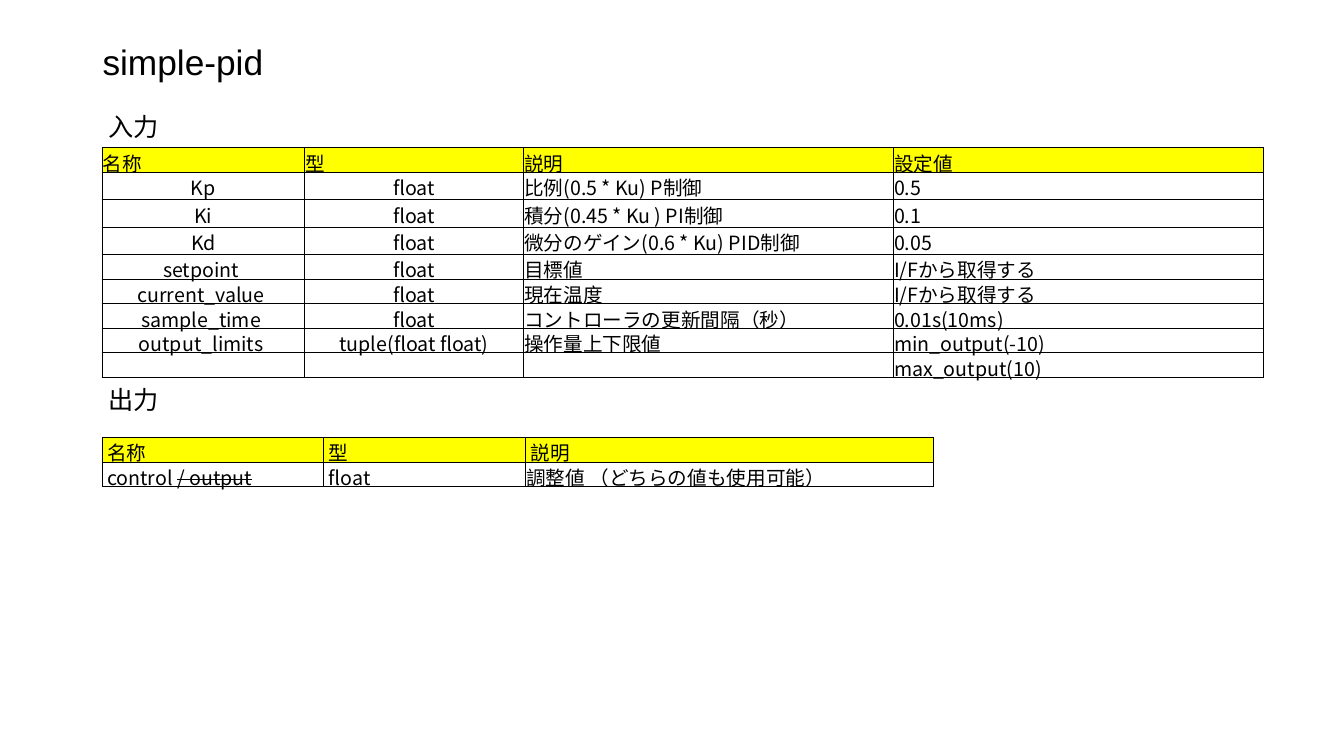
from dataclasses import dataclass

from lxml.etree import SubElement
from pptx import Presentation
from pptx.dml.color import RGBColor
from pptx.enum.text import MSO_ANCHOR as Anchor, MSO_AUTO_SIZE as AutoSize, PP_ALIGN as Align
from pptx.oxml.ns import qn
from pptx.util import Cm, Pt


@dataclass(frozen=True)
class Theme:
    ink: RGBColor = RGBColor(0, 0, 0)
    header: RGBColor = RGBColor(0xFF, 0xFF, 0)
    title_size: Pt = Pt(25.2)
    heading_size: Pt = Pt(18)
    table_size: Pt = Pt(14)
    border: Pt = Pt(0.5)
    title_font: str = "Arial"
    heading_font: str = "Lato"
    table_font: str = "Noto Sans CJK JP"


theme = Theme()


def style(paragraph, name, size):
    paragraph.font.name = name
    paragraph.font.size = size
    paragraph.font.color.rgb = theme.ink


def add_borders(cell):
    properties = cell._tc.get_or_add_tcPr()
    for position, side in enumerate(("lnL", "lnR", "lnT", "lnB")):
        line = properties.makeelement(qn(f"a:{side}"), {"w": str(theme.border)})
        fill = SubElement(line, qn("a:solidFill"))
        SubElement(fill, qn("a:srgbClr"), val=str(theme.ink))
        properties.insert(position, line)


presentation = Presentation()
presentation.slide_width, presentation.slide_height = Cm(33.87), Cm(19.05)
slide = presentation.slides.add_slide(presentation.slide_layouts[5])

title = slide.shapes.title
title.left, title.top, title.width, title.height = Cm(2.33), Cm(1.02), Cm(29.21), Cm(1.19)
title.text_frame.text = "simple-pid"
title.text_frame.vertical_anchor = Anchor.MIDDLE
title.text_frame.auto_size = AutoSize.NONE
title_paragraph = title.text_frame.paragraphs[0]
title_paragraph.alignment = Align.LEFT
title_paragraph.line_spacing = 0.9
style(title_paragraph, theme.title_font, theme.title_size)

input_rows = [
    ("名称", "型", "説明", "設定値"),
    ("Kp", "float", "比例(0.5 * Ku) P制御", "0.5"),
    ("Ki", "float", "積分(0.45 * Ku ) PI制御", "0.1"),
    ("Kd", "float", "微分のゲイン(0.6 * Ku) PID制御", "0.05"),
    ("setpoint ", "float", "目標値", "I/Fから取得する"),
    ("current_value ", "float", "現在温度", "I/Fから取得する"),
    ("sample_time ", "float", "コントローラの更新間隔（秒）", "0.01s(10ms)"),
    ("output_limits ", "tuple(float float)", "操作量上下限値", "min_output(-10)"),
    ("", "", "", "max_output(10)"),
]
output_rows = [
    (" 名称", " 型", " 説明"),
    (" control ", " float", "調整値 （どちらの値も使用可能）"),
]
# heading, heading top, table top, column widths, row heights, centred columns, rows
sections = [
    ("入力", 2.69, 3.72, (5.11, 5.51, 9.32, 9.32),
     (0.62, 0.69, 0.69, 0.69, 0.62, 0.62, 0.62, 0.62, 0.62), 2, input_rows),
    ("出力", 9.55, 11.02, (5.59, 5.08, 10.29), (0.62, 0.62), 0, output_rows),
]

for heading, heading_top, table_top, widths, heights, centred, rows in sections:
    box = slide.shapes.add_textbox(Cm(2.49), Cm(heading_top), Cm(1.8), Cm(1.02))
    box.text_frame.word_wrap = False
    box.text_frame.auto_size = AutoSize.SHAPE_TO_FIT_TEXT
    box.text_frame.text = heading
    style(box.text_frame.paragraphs[0], theme.heading_font, theme.heading_size)

    table = slide.shapes.add_table(len(rows), len(widths), Cm(2.57), Cm(table_top),
                                   Cm(sum(widths)), Cm(sum(heights))).table
    table.first_row = table.horz_banding = False
    for column, width in zip(table.columns, widths):
        column.width = Cm(width)
    for row, height in zip(table.rows, heights):
        row.height = Cm(height)

    for row_index, texts in enumerate(rows):
        for column_index, text in enumerate(texts):
            cell = table.cell(row_index, column_index)
            cell.margin_left = cell.margin_right = cell.margin_top = Cm(0.02)
            cell.margin_bottom = 0
            cell.vertical_anchor = Anchor.BOTTOM
            if row_index == 0:
                cell.fill.solid()
                cell.fill.fore_color.rgb = theme.header
            else:
                cell.fill.background()
            add_borders(cell)
            paragraph = cell.text_frame.paragraphs[0]
            if text:
                paragraph.add_run().text = text
            else:
                SubElement(paragraph._p, qn("a:endParaRPr"), sz=str(int(theme.table_size.pt * 100)))
            if row_index and column_index < centred:
                paragraph.alignment = Align.CENTER
            style(paragraph, theme.table_font, theme.table_size)

# The output table is the last one built; its old name is struck through.
old_name = table.cell(1, 0).text_frame.paragraphs[0].add_run()
old_name.text = "/ output"
old_name.font._element.set("strike", "sngStrike")

presentation.save("out.pptx")
